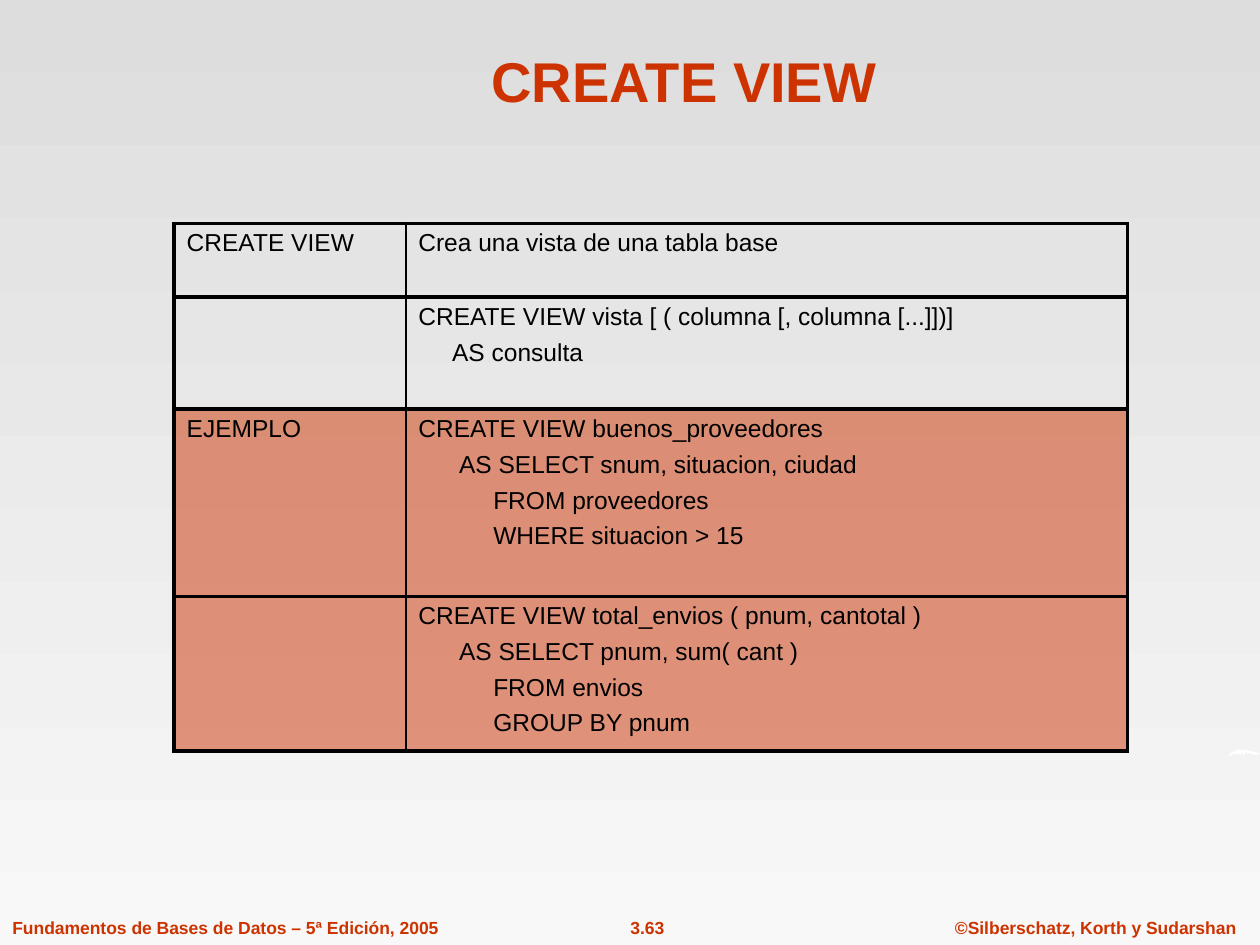
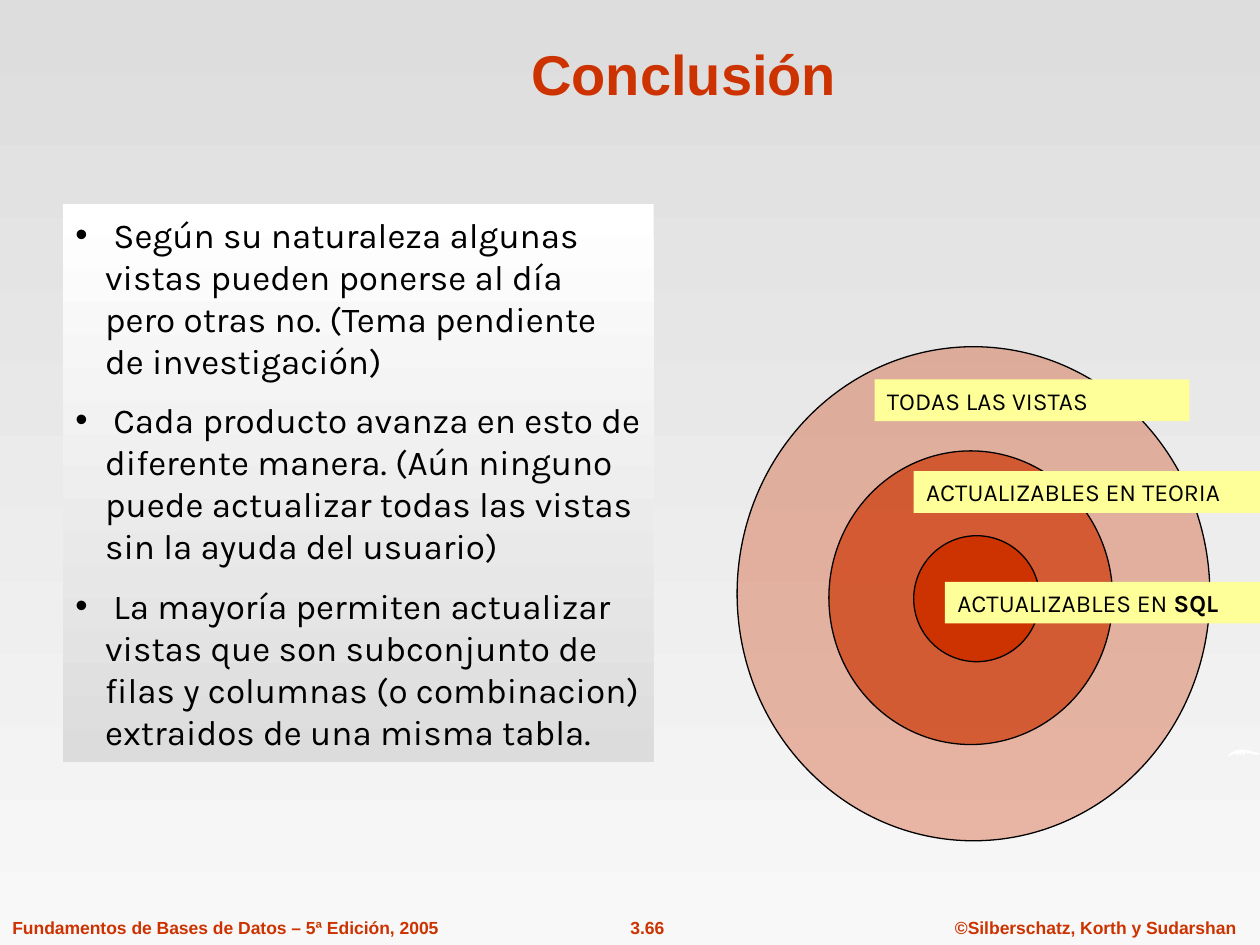
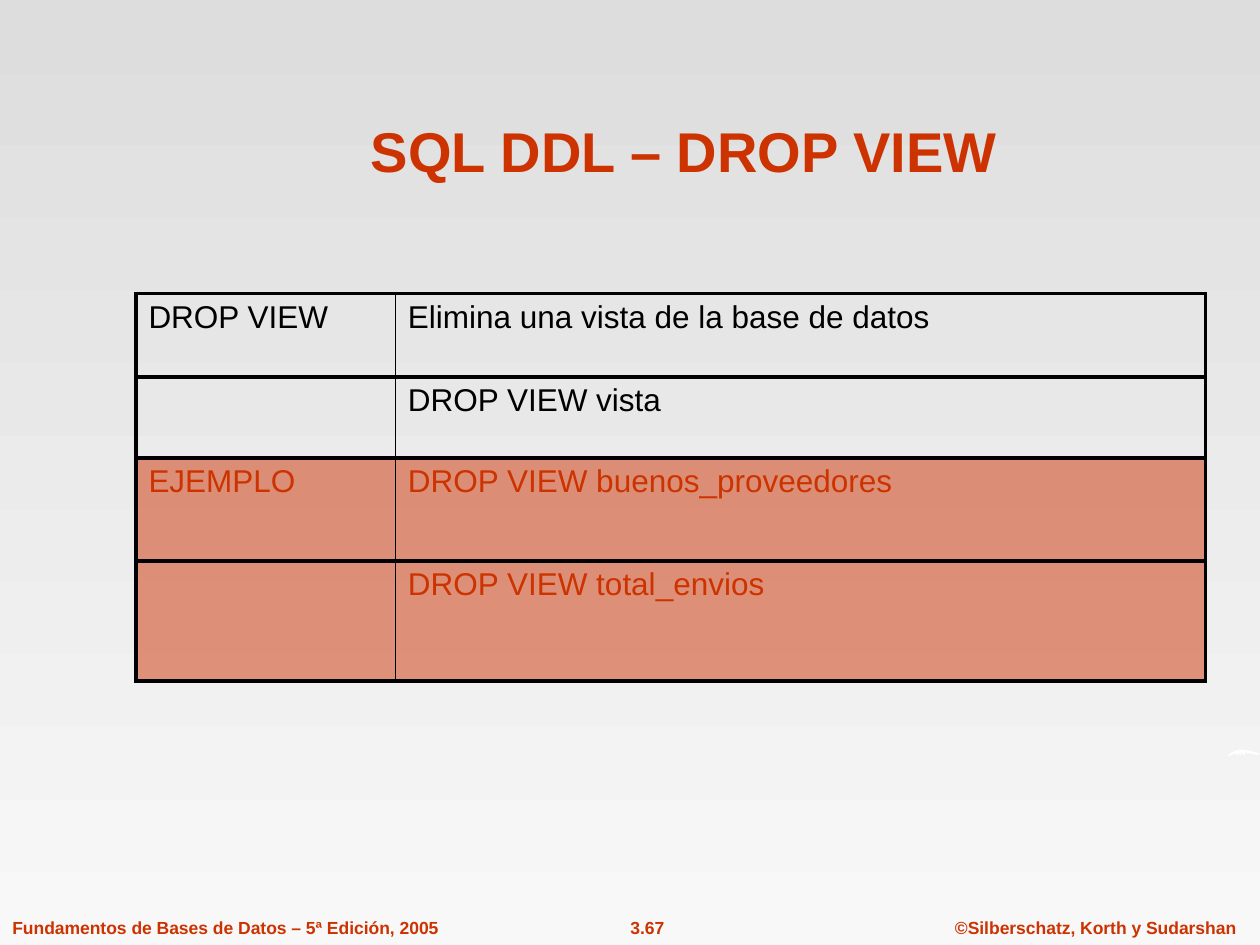
from lxml import etree
from pptx import Presentation
from pptx import util as u
from pptx.dml import color as clr
from pptx.enum import shapes, text
from pptx.oxml import ns

Cm = u.Cm
COLORS = {
    "accent": "CC3300", "black": "000000", "white": "FFFFFF", "label": "FFFF99",
    "bg_top": "DDDDDD", "bg_bottom": "F8F8F8", "panel_bottom": "DCDCDC",
}
TITLE = {"name": "Arial", "size": u.Pt(32), "bold": True}
FOOTER = {"name": "Arial", "size": u.Pt(10), "bold": True}
PANEL = {"name": "Karla", "size": u.Pt(20)}
LABEL = {"name": "Karla", "size": u.Pt(14)}
SWOOSH = [
    (975, 601), (975, 600), (976, 598), (978, 597), (980, 596), (983, 595), (987, 595),
    (992, 596), (996, 597), (1000, 598), (999, 599), (996, 599), (993, 598), (990, 598),
    (988, 597), (988, 600), (985, 597), (985, 600), (982, 597), (983, 600), (980, 598),
    (978, 599), (976, 600),
]


class Deck:
    """Holds the shared style and the current slide, and draws each kind of element."""

    def __init__(self):
        self.prs = Presentation()
        self.prs.slide_width, self.prs.slide_height = Cm(25.4), Cm(19.05)
        self.gradient(self.prs.slide_master.background.fill, "bg_top", "bg_bottom")
        self.s = None

    def rgb(self, name):
        return clr.RGBColor.from_string(COLORS[name])

    def gradient(self, fill, top, bottom):
        fill.gradient()
        fill.gradient_angle = 270
        for stop, name in zip(fill.gradient_stops, (top, bottom)):
            stop.color.rgb = self.rgb(name)

    def solid(self, fill, props, name, opacity=100):
        fill.solid()
        fill.fore_color.rgb = self.rgb(name)
        if opacity < 100:
            node = props.find(ns.qn("a:solidFill"))[0]
            etree.SubElement(node, ns.qn("a:alpha"), val=str(opacity * 1000))

    def put_text(self, tf, paras, fmt, color="black", align="LEFT", gap=0, bullet=False):
        for i, (line, indent) in enumerate(paras):
            p = tf.add_paragraph() if i else tf.paragraphs[0]
            p.alignment = getattr(text.PP_ALIGN, align)
            pPr = p._p.get_or_add_pPr()
            if indent:
                pPr.set("marL", str(Cm(indent)))
            if i:
                p.space_before = u.Pt(gap)
            if bullet:
                pPr.set("indent", str(-Cm(indent)))
                etree.SubElement(pPr, ns.qn("a:buFont"), typeface="Arial")
                etree.SubElement(pPr, ns.qn("a:buChar"), char="•")
            for j, part in enumerate(line.split("*")):
                if not part:
                    continue
                r = p.add_run()
                r.text = part
                for key, value in fmt.items():
                    setattr(r.font, key, value)
                if j % 2:
                    r.font.bold = True
                r.font.color.rgb = self.rgb(color)

    def textbox(self, box, line, fmt, align="LEFT", wrap=True, anchor="TOP"):
        tf = self.s.shapes.add_textbox(*map(Cm, box)).text_frame
        tf.word_wrap = wrap
        tf.vertical_anchor = getattr(text.MSO_ANCHOR, anchor)
        self.put_text(tf, [(line, 0)], fmt, "accent", align)

    def slide(self, title, title_height, number):
        self.s = self.prs.slides.add_slide(self.prs.slide_layouts[6])
        self.textbox((12.34, 18.36, 1.42, 0.69), number, FOOTER, "CENTER", False)
        self.swoosh()
        self.textbox((19, 18.36, 6.17, 0.69), "©Silberschatz, Korth y Sudarshan",
                     FOOTER, "CENTER", False)
        self.textbox((0, 18.36, 9.09, 0.69),
                     "Fundamentos de Bases de Datos – 5ª Edición, 2005", FOOTER, wrap=False)
        self.textbox((2.97, 0.64, 21.64, title_height), title, TITLE, "CENTER",
                     anchor="BOTTOM")

    def swoosh(self):
        fb = self.s.shapes.build_freeform(*SWOOSH[0], scale=Cm(2.54) / 100)
        fb.add_line_segments(SWOOSH[1:])
        sp = fb.convert_to_shape()
        sp.shadow.inherit = False
        self.solid(sp.fill, sp._element.spPr, "white")
        sp.line.fill.background()

    def shape(self, kind, box):
        sp = self.s.shapes.add_shape(getattr(shapes.MSO_SHAPE, kind), *map(Cm, box))
        sp.shadow.inherit = False
        sp.line.fill.background()
        return sp

    def ring(self, box, opacity):
        sp = self.shape("OVAL", box)
        self.solid(sp.fill, sp._element.spPr, "accent", opacity)
        sp.line.color.rgb = self.rgb("black")
        sp.line.width = u.Pt(0.75)

    def label(self, left, top, width, line):
        sp = self.shape("RECTANGLE", (left, top, width, 0.84))
        self.solid(sp.fill, sp._element.spPr, "label")
        sp.text_frame.word_wrap = True
        self.put_text(sp.text_frame, [(line, 0)], LABEL)

    def panel(self, box, lines):
        sp = self.shape("RECTANGLE", box)
        self.gradient(sp.fill, "white", "panel_bottom")
        sp.text_frame.word_wrap = True
        self.put_text(sp.text_frame, [(line, 0.6) for line in lines], PANEL, gap=10,
                      bullet=True)

    def border(self, tcPr, side, width):
        ln = etree.SubElement(tcPr, ns.qn("a:ln" + side), w=str(u.Pt(width)))
        fill = etree.SubElement(ln, ns.qn("a:solidFill"))
        etree.SubElement(fill, ns.qn("a:srgbClr"), val=COLORS["black"])

    def table(self, left, top, widths, heights, rows, size, example_color="black"):
        box = (left, top, sum(widths), sum(heights))
        tbl = self.s.shapes.add_table(len(rows), len(widths), *map(Cm, box)).table
        tbl.first_row = tbl.horz_banding = False
        for col, width in zip(tbl.columns, widths):
            col.width = Cm(width)
        for i, (head, lines) in enumerate(rows):
            tbl.rows[i].height = Cm(heights[i])
            example = i >= 2
            for j, paras in enumerate(([(head, 0)], lines)):
                cell = tbl.cell(i, j)
                tcPr = cell._tc.get_or_add_tcPr()
                for side, width in zip("LRTB", (1 if j else 2.25, 2.25 if j else 1, 2.25, 2.25)):
                    self.border(tcPr, side, width)
                if example:
                    self.solid(cell.fill, tcPr, "accent", 50)
                else:
                    cell.fill.background()
                if paras[0][0]:
                    self.put_text(cell.text_frame, paras,
                                  {"name": "Arial", "size": u.Pt(size)},
                                  example_color if example else "black", gap=size / 3)


def main():
    d = Deck()

    d.slide("CREATE VIEW", 1.78, "3.63")
    d.table(3.51, 4.5, (4.67, 14.55), (1.49, 2.26, 3.77, 2.98), [
        ("CREATE VIEW", [("Crea una vista de una tabla base", 0)]),
        ("", [("CREATE VIEW vista [ ( columna [, columna [...]])]", 0), ("AS consulta", 0.68)]),
        ("EJEMPLO", [("CREATE VIEW buenos_proveedores", 0),
                     ("AS SELECT snum, situacion, ciudad", 0.82),
                     ("FROM proveedores", 1.51), ("WHERE situacion > 15", 1.51)]),
        ("", [("CREATE VIEW total_envios ( pnum, cantotal )", 0),
              ("AS SELECT pnum, sum( cant )", 0.82),
              ("FROM envios", 1.51), ("GROUP BY pnum", 1.51)]),
    ], 14)

    d.slide("Conclusión", 1.63, "3.66")
    d.panel((1.27, 4.11, 11.91, 11.25), [
        " Según su naturaleza algunas vistas pueden ponerse al día pero otras no. "
        "(Tema pendiente de investigación)",
        " Cada producto avanza en esto de diferente manera. (Aún ninguno puede "
        "actualizar todas las vistas sin la ayuda del usuario)",
        " La mayoría permiten actualizar vistas que son subconjunto de filas y "
        "columnas (o combinacion) extraidos de una misma tabla.",
    ])
    d.ring((14.86, 6.99, 9.53, 9.96), 33)
    d.ring((16.71, 9.09, 5.72, 5.92), 68)
    d.ring((18.42, 10.8, 2.54, 2.54), 100)
    d.label(17.63, 7.65, 6.35, "TODAS LAS VISTAS")
    d.label(19.05, 11.73, 6.35, "ACTUALIZABLES EN *SQL*")
    d.label(18.42, 9.5, 6.98, "ACTUALIZABLES EN TEORIA")

    d.slide("SQL DDL – DROP VIEW", 3.18, "3.67")
    d.table(2.74, 5.92, (5.23, 16.33), (1.68, 1.63, 2.08, 2.42), [
        ("DROP VIEW", [("Elimina una vista de la base de datos", 0)]),
        ("", [("DROP VIEW vista", 0)]),
        ("EJEMPLO", [("DROP VIEW buenos_proveedores", 0)]),
        ("", [("DROP VIEW total_envios", 0)]),
    ], 18, "accent")

    d.prs.save("out.pptx")


if __name__ == "__main__":
    main()
